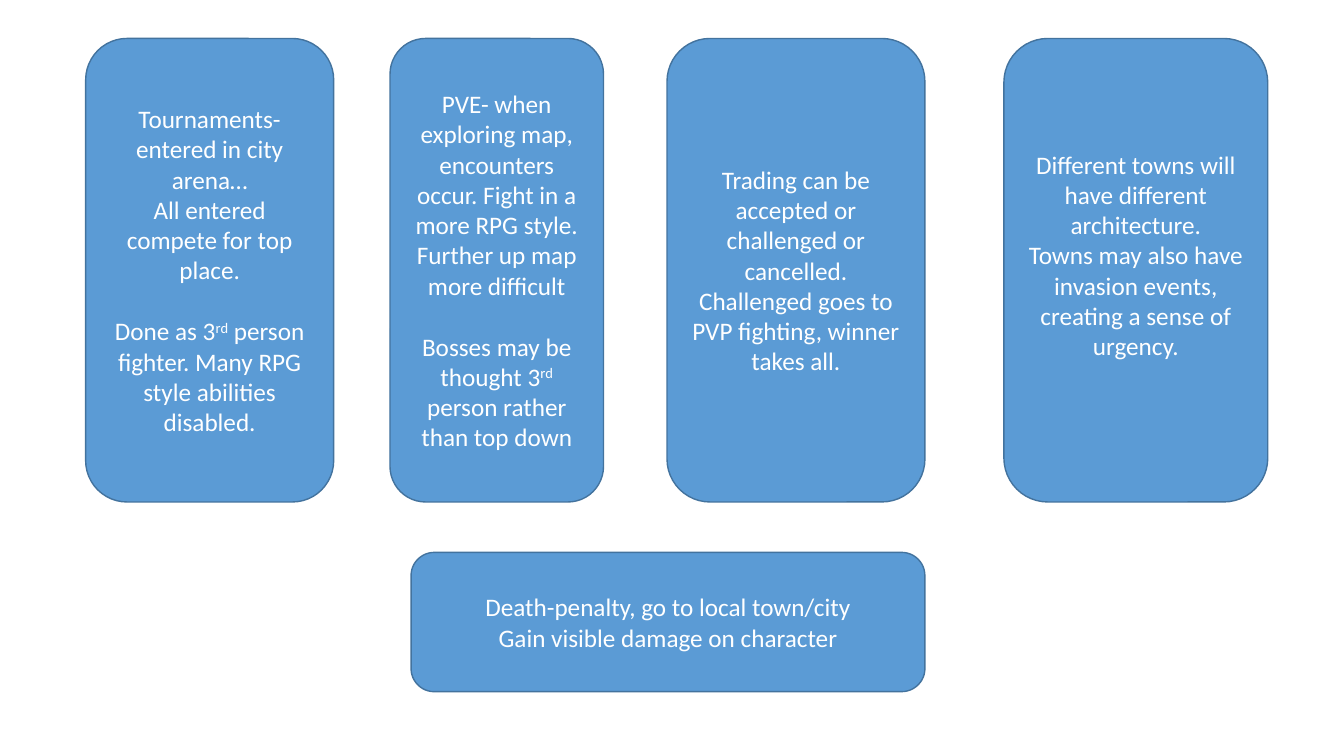
from pptx import Presentation
from pptx import util as u
from pptx.dml.color import RGBColor
from pptx.enum import shapes, text

TOP, TALL = 0.97, 11.68
GAP = 22
BASE = 0.13
FONT = {"name": "Calibri", "size": u.Pt(18)}
FRAME = {"word_wrap": True, "vertical_anchor": text.MSO_ANCHOR.MIDDLE}
COLORS = {"fill": "5B9BD5", "line": "43739E", "text": "FFFFFF"}

CARDS = [
    (2.16, TOP, 6.25, TALL, BASE, [
        (0, "Tournaments- entered in city arena…"),
        (0, "All entered compete for top place."),
        (GAP, "Done as 3", "rd", " person fighter. Many RPG style abilities disabled."),
    ]),
    (9.83, TOP, 5.38, TALL, BASE, [
        (0, "PVE- when exploring map, encounters occur. Fight in a more RPG style. "
            "Further up map more difficult"),
        (GAP, "Bosses may be thought 3", "rd", " person rather than top down"),
    ]),
    (16.81, TOP, 6.5, TALL, BASE, [
        (0, "Trading can be accepted or challenged or cancelled. "
            "Challenged goes to PVP fighting, winner takes all."),
    ]),
    (10.36, 13.92, 12.95, 3.51, BASE, [
        (0, "Death-penalty, go to local town/city"),
        (0, "Gain visible damage on character"),
    ]),
    (25.3, TOP, 6.65, TALL, 0.9, [
        (0, "Different towns will have different architecture."),
        (0, "Towns may also have invasion events, creating a sense of urgency."),
    ]),
]


def paint(color, key):
    color.rgb = RGBColor.from_string(COLORS[key])


def apply(item, values):
    for name, value in values.items():
        setattr(item, name, value)


def write(para, gap, parts):
    apply(para, {"alignment": text.PP_ALIGN.CENTER, "space_before": u.Pt(gap)})
    for part in parts:
        run = para.add_run()
        run.text = part
        apply(run.font, FONT)
        paint(run.font.color, "text")
        if part == "rd":
            run.font._element.set("baseline", "30000")


def card(slide, left, top, width, height, foot, paras):
    box = slide.shapes.add_shape(
        shapes.MSO_SHAPE.ROUNDED_RECTANGLE,
        *map(u.Cm, (left, top, width, height)))
    box.shadow.inherit = False
    box.fill.solid()
    paint(box.fill.fore_color, "fill")
    paint(box.line.color, "line")
    box.line.width = u.Pt(1)
    frame = box.text_frame
    apply(frame, FRAME)
    frame.margin_bottom = u.Cm(foot)
    for i, (gap, *parts) in enumerate(paras):
        write(frame.add_paragraph() if i else frame.paragraphs[0], gap, parts)


def main():
    deck = Presentation()
    apply(deck, {"slide_width": u.Cm(33.87), "slide_height": u.Cm(19.05)})
    slide = deck.slides.add_slide(deck.slide_layouts[6])
    for spot in CARDS:
        card(slide, *spot)
    deck.save("out.pptx")


if __name__ == "__main__":
    main()
